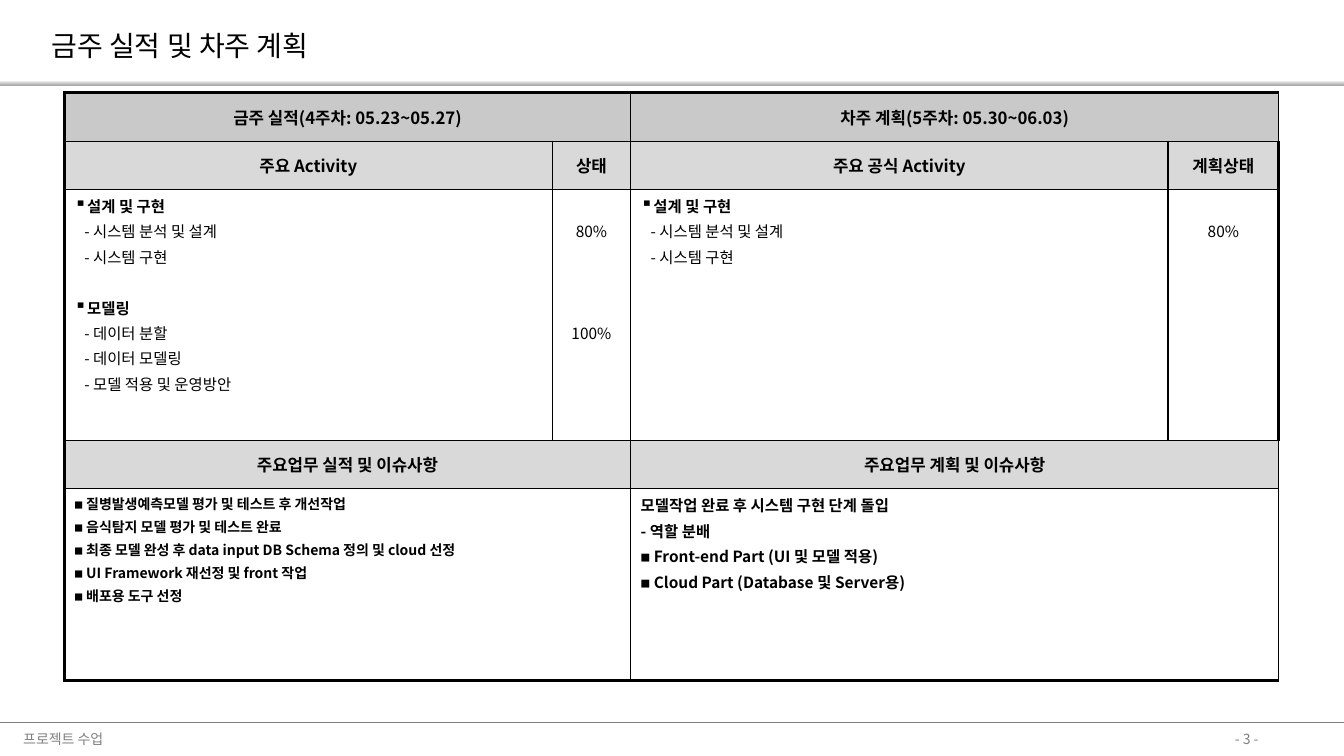
from lxml.etree import SubElement
from pptx import Presentation
from pptx.dml.color import RGBColor
from pptx.enum.shapes import MSO_CONNECTOR, MSO_SHAPE
from pptx.enum.text import MSO_ANCHOR, PP_ALIGN
from pptx.oxml.ns import qn
from pptx.util import Pt

FONT = "Noto Sans CJK KR"
WIDTH, HEIGHT = 960, 540
TITLE = "금주 실적 및 차주 계획"
FOOTERS = [("프로젝트 수업", 9.5, 177), ("- 3 -", 875, 42.5)]
BAND_STOPS = [(0, "FAFAFA"), (35, "D7D7D7"), (100, "A6A6A6")]

TABLE_LEFT, TABLE_TOP = 46, 66.3
COLUMNS = [348.5, 56, 383.8, 79.2]
ROWS = [34.5, 34.5, 179.3, 34.5, 137.2]
LINE_PITCH = 18.1

DESIGN = ["설계 및 구현", "- 시스템 분석 및 설계", "- 시스템 구현"]
MODELING = ["모델링", "- 데이터 분할", "- 데이터 모델링", "- 모델 적용 및 운영방안"]
HEADERS = [
    (0, ["금주 실적(4주차: 05.23~05.27)", None, "차주 계획(5주차: 05.30~06.03)", None], "C9C9C9"),
    (1, ["주요 Activity", "상태", "주요 공식 Activity", "계획상태"], "D9D9D9"),
    (3, ["주요업무 실적 및 이슈사항", None, "주요업무 계획 및 이슈사항", None], "D9D9D9"),
]
ACTIVITIES = {0: [DESIGN, MODELING], 2: [DESIGN]}
STATUSES = {1: ["80%", "100%"], 3: ["80%"]}
ISSUES = {
    0: (10, ["◼ 질병발생예측모델 평가 및 테스트 후 개선작업",
             "◼ 음식탐지 모델 평가 및 테스트 완료",
             "◼ 최종 모델 완성 후 data input DB Schema 정의 및 cloud 선정",
             "◼ UI Framework 재선정 및 front 작업",
             "◼ 배포용 도구 선정"]),
    2: (11, ["모델작업 완료 후 시스템 구현 단계 돌입",
             "- 역할 분배",
             "◼ Front-end Part (UI 및 모델 적용)",
             "◼ Cloud Part (Database 및 Server용)"]),
}


def color(value):
    return RGBColor.from_string(value)


def write(frame, text, size=11, bold=False, fill="000000", align=PP_ALIGN.LEFT,
          before=0, indent=0, bullet=None):
    para = frame.paragraphs[0]
    if para.runs:
        para = frame.add_paragraph()
    para.alignment = align
    para.space_before = Pt(before)
    properties = para._p.get_or_add_pPr()
    properties.set("marL", str(Pt(indent)))
    properties.set("indent", str(-Pt(indent) if bullet else 0))
    if bullet:
        SubElement(properties, qn("a:buSzPct"), val="110000")
        SubElement(properties, qn("a:buChar"), char=bullet)
    else:
        SubElement(properties, qn("a:buNone"))
    span = para.add_run()
    span.text = text
    span.font.name = FONT
    span.font.size = Pt(size)
    span.font.bold = bold
    span.font.color.rgb = color(fill)
    SubElement(span._r.get_or_add_rPr(), qn("a:ea"), typeface=FONT)


def add_border(cell, side, weight):
    line = SubElement(cell._tc.get_or_add_tcPr(), qn("a:ln" + side), w=str(Pt(weight)))
    SubElement(SubElement(line, qn("a:solidFill")), qn("a:srgbClr"), val="000000")


deck = Presentation()
deck.slide_width, deck.slide_height = Pt(WIDTH), Pt(HEIGHT)
page = deck.slides.add_slide(deck.slide_layouts[5])

band = page.shapes.add_shape(MSO_SHAPE.RECTANGLE, 0, Pt(57.6), Pt(WIDTH), Pt(3.6))
band.shadow.inherit = False
band.line.fill.background()
band.fill.gradient()
band.fill.gradient_angle = 270
stops = band._element.spPr.find(qn("a:gradFill")).find(qn("a:gsLst"))
for stop in list(stops):
    stops.remove(stop)
for position, shade in BAND_STOPS:
    stop = SubElement(stops, qn("a:gs"), pos=str(position * 1000))
    SubElement(stop, qn("a:srgbClr"), val=shade)

rule = page.shapes.add_connector(MSO_CONNECTOR.STRAIGHT, 0, Pt(516), Pt(WIDTH), Pt(516))
rule.line.color.rgb = color("808080")
rule.line.width = Pt(0.5)
SubElement(rule._element.spPr, qn("a:effectLst"))

for text, left, width in FOOTERS:
    box = page.shapes.add_textbox(Pt(left), Pt(518), Pt(width), Pt(19.5))
    box.text_frame.word_wrap = True
    box.text_frame.vertical_anchor = MSO_ANCHOR.MIDDLE
    write(box.text_frame, text, size=10, fill="808080")

title = page.shapes.title
title.left, title.top, title.width, title.height = Pt(29.5), Pt(16.5), Pt(207.5), Pt(31.5)
title.text_frame.word_wrap = False
title.text_frame.vertical_anchor = MSO_ANCHOR.MIDDLE
write(title.text_frame, TITLE, size=20)

table = page.shapes.add_table(len(ROWS), len(COLUMNS), Pt(TABLE_LEFT), Pt(TABLE_TOP),
                              Pt(sum(COLUMNS)), Pt(sum(ROWS))).table
table.first_row = table.horz_banding = False
for column, width in zip(table.columns, COLUMNS):
    column.width = Pt(width)
for row, height in zip(table.rows, ROWS):
    row.height = Pt(height)

shades = {row: shade for row, texts, shade in HEADERS}
for row in range(len(ROWS)):
    for column in range(len(COLUMNS)):
        cell = table.cell(row, column)
        outer = {"L": column == 0, "R": column == len(COLUMNS) - 1,
                 "T": row == 0, "B": row == len(ROWS) - 1}
        for side, is_outer in outer.items():
            add_border(cell, side, 2.25 if is_outer else 1)
        cell.fill.solid()
        cell.fill.fore_color.rgb = color(shades.get(row, "FFFFFF"))
        cell.vertical_anchor = MSO_ANCHOR.MIDDLE if row in shades else MSO_ANCHOR.TOP

for row in (0, 3, 4):
    for column in (0, 2):
        table.cell(row, column).merge(table.cell(row, column + 1))

for row, texts, shade in HEADERS:
    for column, text in enumerate(texts):
        if text:
            write(table.cell(row, column).text_frame, text, size=12, bold=True,
                  align=PP_ALIGN.CENTER, before=2.4)

for column, groups in ACTIVITIES.items():
    frame = table.cell(2, column).text_frame
    for number, (heading, *tasks) in enumerate(groups):
        write(frame, heading, bold=True, before=2.2 + number * LINE_PITCH,
              indent=6.5, bullet="▪")
        for task in tasks:
            write(frame, task, before=2.2, indent=7)

for column, values in STATUSES.items():
    cell = table.cell(2, column)
    cell.margin_top = Pt(3.6 + LINE_PITCH)
    for number, value in enumerate(values):
        write(cell.text_frame, value, align=PP_ALIGN.CENTER,
              before=2.2 + number * len(DESIGN) * LINE_PITCH)

for column, (size, lines) in ISSUES.items():
    for line in lines:
        write(table.cell(4, column).text_frame, line, size=size, bold=True, before=size / 5)

deck.save("out.pptx")
